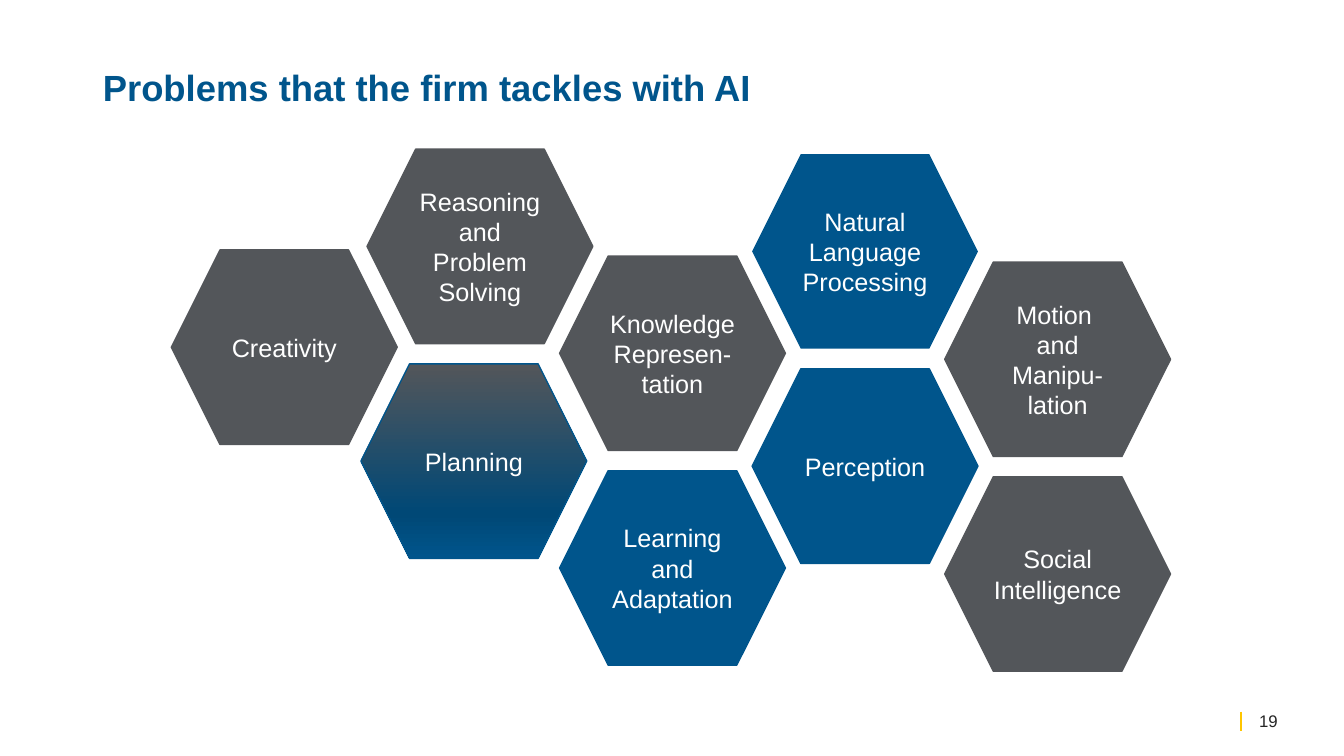
from copy import deepcopy
from dataclasses import dataclass

from lxml import etree
from pptx import Presentation
from pptx.dml.color import RGBColor
from pptx.enum import shapes, text
from pptx.oxml.ns import qn
from pptx.slide import Slide
from pptx.util import Inches, Pt


@dataclass(frozen=True)
class Theme:
    font: str = "Arial"
    blue: str = "00558C"
    navy: str = "004876"
    gray: str = "53565A"
    white: str = "FFFFFF"
    ink: str = "262626"
    yellow: str = "FFC600"
    title_size: int = 26
    problem_size: int = 18
    number_size: int = 12


THEME = Theme()


@dataclass(frozen=True)
class Problem:
    label: str
    column: int
    row: int
    color: str = THEME.gray
    nudge: float = 0
    outlined: bool = True
    blended: bool = False


PROBLEMS = [
    Problem("Creativity", 0, 0, nudge=-0.03),
    Problem("Reasoning and Problem Solving", 1, 0),
    Problem("Planning", 1, 1, THEME.blue, nudge=-0.06, blended=True),
    Problem("Knowledge Represen-tation", 2, 0),
    Problem("Learning and Adaptation", 2, 1, THEME.blue),
    Problem("Natural Language Processing", 3, 0, THEME.blue, outlined=False),
    Problem("Perception", 3, 1, THEME.blue),
    Problem("Motion \nand Manipu-lation", 4, 0),
    Problem("Social Intelligence", 4, 1),
]

# Honeycomb geometry in inches: each column has its own top
HEX_WIDTH, HEX_HEIGHT = 2.24, 1.93
FIRST_LEFT, COLUMN_PITCH, ROW_PITCH = 1.73, 1.91, 2.13
COLUMN_TOPS = [2.48, 1.48, 2.54, 1.53, 2.6]


def rgb(color: str) -> RGBColor:
    return RGBColor.from_string(color)


def style(frame, size: int, color: str, align=text.PP_ALIGN.LEFT,
          anchor=text.MSO_ANCHOR.MIDDLE, bold: bool = False) -> None:
    frame.word_wrap = True
    frame.vertical_anchor = anchor
    for paragraph in frame.paragraphs:
        paragraph.alignment = align
        paragraph.font.name = THEME.font
        paragraph.font.size = Pt(size)
        paragraph.font.bold = bold
        paragraph.font.color.rgb = rgb(color)


def blend(hexagon) -> None:
    """Fill from gray at the top through navy to blue."""
    hexagon.fill.gradient()
    hexagon.fill.gradient_angle = 270
    stop_list = hexagon._element.spPr.find(qn("a:gradFill")).find(qn("a:gsLst"))
    stop_list.insert(1, deepcopy(stop_list[0]))
    colors = [(0, THEME.gray), (0.77, THEME.navy), (1, THEME.blue)]
    for stop, (position, color) in zip(hexagon.fill.gradient_stops, colors):
        stop.position = position
        stop.color.rgb = rgb(color)


def add_problem(slide: Slide, problem: Problem) -> None:
    left = FIRST_LEFT + problem.column * COLUMN_PITCH + problem.nudge
    top = COLUMN_TOPS[problem.column] + problem.row * ROW_PITCH
    hexagon = slide.shapes.add_shape(
        shapes.MSO_SHAPE.HEXAGON, Inches(left), Inches(top),
        Inches(HEX_WIDTH), Inches(HEX_HEIGHT))
    hexagon.shadow.inherit = False
    if problem.blended:
        blend(hexagon)
    else:
        hexagon.fill.solid()
        hexagon.fill.fore_color.rgb = rgb(problem.color)
    if problem.outlined:
        hexagon.line.color.rgb = rgb(problem.color)
        hexagon.line.width = Pt(1)
    else:
        hexagon.line.fill.background()
    hexagon.text_frame.text = problem.label
    style(hexagon.text_frame, THEME.problem_size, THEME.white,
          text.PP_ALIGN.CENTER)


def add_title(slide: Slide, wording: str) -> None:
    title = slide.shapes.title
    title.left, title.top = Inches(0.92), Inches(0.65)
    title.width, title.height = Inches(11.84), Inches(1.06)
    title.text_frame.text = wording
    style(title.text_frame, THEME.title_size, THEME.blue,
          anchor=text.MSO_ANCHOR.TOP, bold=True)
    title.text_frame.auto_size = text.MSO_AUTO_SIZE.NONE
    title.text_frame.paragraphs[0].line_spacing = 0.9


def add_page_number(slide: Slide, number: str) -> None:
    bar = slide.shapes.add_connector(
        shapes.MSO_CONNECTOR.STRAIGHT, Inches(12.31), Inches(7.06),
        Inches(12.31), Inches(7.25))
    bar.line.color.rgb = rgb(THEME.yellow)
    bar.line.width = Pt(1)
    etree.SubElement(bar._element.spPr, qn("a:effectLst"))
    page = slide.shapes.add_textbox(
        Inches(12.39), Inches(6.95), Inches(0.67), Inches(0.4))
    page.text_frame.text = number
    style(page.text_frame, THEME.number_size, THEME.ink)


def main() -> None:
    deck = Presentation()
    deck.slide_width, deck.slide_height = Inches(13.33), Inches(7.5)
    slide = deck.slides.add_slide(deck.slide_layouts[5])

    # Title and page number
    add_title(slide, "Problems that the firm tackles with AI")
    add_page_number(slide, "19")

    # Honeycomb of problems
    for problem in PROBLEMS:
        add_problem(slide, problem)

    deck.save("out.pptx")


if __name__ == "__main__":
    main()
